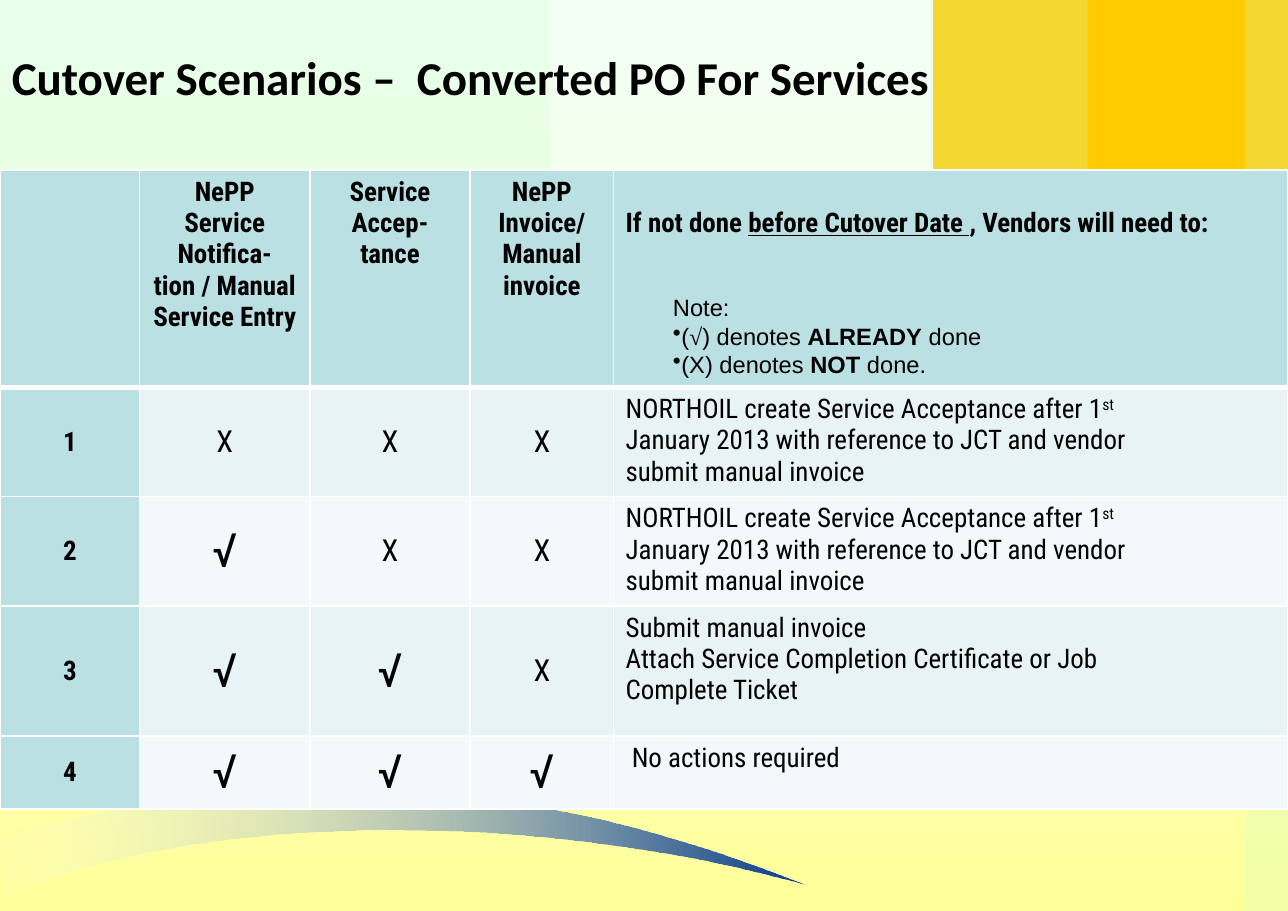
from lxml import etree
from pptx import Presentation
from pptx.dml.color import RGBColor
from pptx.enum.shapes import MSO_SHAPE as Shape
from pptx.enum.text import MSO_ANCHOR as Anchor, PP_ALIGN as Align
from pptx.oxml.ns import qn
from pptx.util import Inches, Pt

BLACK = RGBColor(0x00, 0x00, 0x00)
WHITE = RGBColor(0xFF, 0xFF, 0xFF)
YELLOW = RGBColor(0xFF, 0xFF, 0x99)
GOLD = RGBColor(0xFF, 0xCC, 0x00)
MINT = RGBColor(0xCC, 0xFF, 0xCC)
NAVY = RGBColor(0x03, 0x39, 0x89)
TEAL = RGBColor(0xBB, 0xE0, 0xE3)
PALE_TEAL = RGBColor(0xE7, 0xF3, 0xF4)
FAINT_TEAL = RGBColor(0xF3, 0xF9, 0xFA)

TITLE_FONT, TABLE_FONT, NOTE_FONT, MARK_FONT = "Calibri", "Roboto Condensed", "Arial", "Times New Roman"
WIDTH, HEIGHT = 10.6, 7.5
COLUMNS = [1.15, 1.4, 1.32, 1.18, 5.55]
ROWS = [1.79, 0.87, 0.87, 1.07, 0.6]
HEADINGS = [
    ["NePP Service", "Notifica-tion / Manual Service Entry"],
    ["Service", "Accep-tance"],
    ["NePP Invoice/ Manual invoice"],
]
ACCEPTANCE = [
    [("NORTHOIL create Service Acceptance after 1", {}), ("st", {"raised": True})],
    [("January 2013 with reference to JCT and vendor", {})],
    [("submit manual invoice", {})],
]
INVOICE = [
    [("Submit manual invoice", {})],
    [("Attach Service Completion Certificate or Job", {})],
    [("Complete Ticket", {})],
]
SCENARIOS = [
    ("XXX", ACCEPTANCE, Align.JUSTIFY),
    ("√XX", ACCEPTANCE, Align.JUSTIFY),
    ("√√X", INVOICE, Align.LEFT),
    ("√√√", [[("No actions required", {})]], Align.LEFT),
]
NOTE = [
    [("Note:", {})],
    [("(", {}), ("√", {"font": MARK_FONT}), (") denotes ", {}), ("ALREADY", {"bold": True}), (" done", {})],
    [("(X) denotes ", {}), ("NOT", {"bold": True}), (" done.", {})],
]


def set_alpha(color, percent):
    etree.SubElement(color, qn("a:alpha"), val=str(percent * 1000))


def curve(start, first, second, end, steps=40):
    points = []
    for step in range(steps + 1):
        t = step / steps
        weights = ((1 - t) ** 3, 3 * t * (1 - t) ** 2, 3 * t * t * (1 - t), t ** 3)
        points.append(tuple(
            Inches(sum(w * point[axis] for w, point in zip(weights, (start, first, second, end))))
            for axis in (0, 1)))
    return points


class SlideMaker:
    def __init__(self, deck):
        self.page = deck.slides.add_slide(deck.slide_layouts[6])

    def finish(self, shape):
        shape.shadow.inherit = False
        shape.line.fill.background()
        return shape

    def gradient(self, shape, start, end, angle):
        shape.fill.gradient()
        shape.fill.gradient_angle = angle
        for stop, color, position in zip(shape.fill.gradient_stops, (start, end), (0, 1)):
            stop.color.rgb = color
            stop.position = position

    def panel(self, left, top, width, height, color, alpha=100):
        shape = self.finish(self.page.shapes.add_shape(
            Shape.RECTANGLE, Inches(left), Inches(top), Inches(width), Inches(height)))
        shape.fill.solid()
        shape.fill.fore_color.rgb = color
        if alpha < 100:
            set_alpha(shape._element.spPr.find(".//" + qn("a:srgbClr")), alpha)
        return shape

    def swoosh(self):
        upper = curve((0, 6.9), (2.88, 6.05), (5.2, 6.71), (6.66, 7.29))
        lower = curve((6.66, 7.29), (4.76, 6.75), (1.88, 6.59), (0.04, 7.37))
        builder = self.page.shapes.build_freeform(*upper[0])
        builder.add_line_segments(upper[1:] + lower[1:], close=True)
        shape = self.finish(builder.convert_to_shape())
        self.gradient(shape, WHITE, NAVY, 0)
        set_alpha(shape._element.spPr.find(".//" + qn("a:srgbClr")), 9)

    def add_lines(self, frame, lines, size, font, bold=False, align=Align.LEFT, bulleted=(), hanging=0):
        for index, line in enumerate(lines):
            para = frame.paragraphs[0] if index == 0 else frame.add_paragraph()
            para.alignment = align
            properties = para._p.get_or_add_pPr()
            if hanging:
                properties.set("marL", str(Inches(hanging)))
                properties.set("indent", str(-Inches(hanging)))
            if index in bulleted:
                etree.SubElement(properties, qn("a:buChar"), char="•")
            for text, style in line:
                span = para.add_run()
                span.text = text
                span.font.name = style.get("font", font)
                span.font.size = Pt(size)
                span.font.bold = style.get("bold", bold)
                span.font.color.rgb = BLACK
                if style.get("underline"):
                    span.font.underline = True
                if style.get("raised"):
                    span._r.get_or_add_rPr().set("baseline", "30000")

    def text(self, left, top, width, height, lines, size, font, **style):
        box = self.page.shapes.add_textbox(Inches(left), Inches(top), Inches(width), Inches(height))
        frame = box.text_frame
        frame.word_wrap = True
        frame.vertical_anchor = Anchor.MIDDLE
        self.add_lines(frame, lines, size, font, **style)

    def table(self, left, top, columns, rows):
        table = self.page.shapes.add_table(
            len(rows), len(columns), Inches(left), Inches(top),
            Inches(sum(columns)), Inches(sum(rows))).table
        table.first_row = table.horz_banding = False
        for column, width in zip(table.columns, columns):
            column.width = Inches(width)
        for row, height in zip(table.rows, rows):
            row.height = Inches(height)
        for r in range(len(rows)):
            for c in range(len(columns)):
                body = PALE_TEAL if r % 2 else FAINT_TEAL
                self.dress(table.cell(r, c), TEAL if r == 0 or c == 0 else body,
                           {"lnT": 3 if r == 1 else 1, "lnB": 3 if r == 0 else 1})
        return table

    def dress(self, cell, color, widths):
        cell.fill.solid()
        cell.fill.fore_color.rgb = color
        properties = cell._tc.get_or_add_tcPr()
        for index, side in enumerate(("lnL", "lnR", "lnT", "lnB")):
            border = etree.Element(qn("a:" + side), w=str(Pt(widths.get(side, 1))))
            fill = etree.SubElement(border, qn("a:solidFill"))
            etree.SubElement(fill, qn("a:srgbClr"), val=str(WHITE))
            properties.insert(index, border)

    def cell(self, cell, lines, size=16, anchor=Anchor.TOP, **style):
        cell.vertical_anchor = anchor
        self.add_lines(cell.text_frame, lines, size, TABLE_FONT, **style)


def main():
    deck = Presentation()
    deck.slide_width, deck.slide_height = Inches(WIDTH), Inches(HEIGHT)
    maker = SlideMaker(deck)

    backdrop = maker.panel(0, 0.58, WIDTH, 6.92, WHITE)
    maker.gradient(backdrop, WHITE, YELLOW, 270)
    maker.panel(7.68, 0, 2.92, 1.42, GOLD)
    maker.panel(10.25, 0, 0.35, HEIGHT, MINT, 24)
    maker.panel(0, 0, 8.95, 1.42, MINT, 24)
    maker.panel(0, 0, 4.52, 1.42, MINT, 24)
    maker.swoosh()
    maker.text(0, 0.24, 7.84, 0.78, [[("Cutover Scenarios –  Converted PO For Services", {})]],
               27.9, TITLE_FONT, bold=True)

    table = maker.table(0, 1.4, COLUMNS, ROWS)
    for c, heading in enumerate(HEADINGS, 1):
        maker.cell(table.cell(0, c), [[(line, {})] for line in heading], bold=True, align=Align.CENTER)
    action_heading = table.cell(0, 4)
    action_heading.margin_top = Inches(0.31)
    maker.cell(action_heading, [[("If not done ", {}), ("before Cutover Date ", {"underline": True}),
                                 (", Vendors will need to:", {})]], bold=True)
    for r, (marks, actions, align) in enumerate(SCENARIOS, 1):
        maker.cell(table.cell(r, 0), [[(str(r), {})]], anchor=Anchor.MIDDLE, bold=True, align=Align.CENTER)
        for c, mark in enumerate(marks, 1):
            maker.cell(table.cell(r, c), [[(mark, {})]], 18 if mark == "X" else 28,
                       Anchor.MIDDLE, align=Align.CENTER)
        maker.cell(table.cell(r, 4), actions, align=align, hanging=0.38 if len(actions) > 1 else 0)
    table.cell(4, 4).margin_left = Inches(0.15)

    maker.text(5.44, 2.36, 4.01, 0.81, NOTE, 14, NOTE_FONT, bulleted=(1, 2))
    deck.save("out.pptx")


if __name__ == "__main__":
    main()
